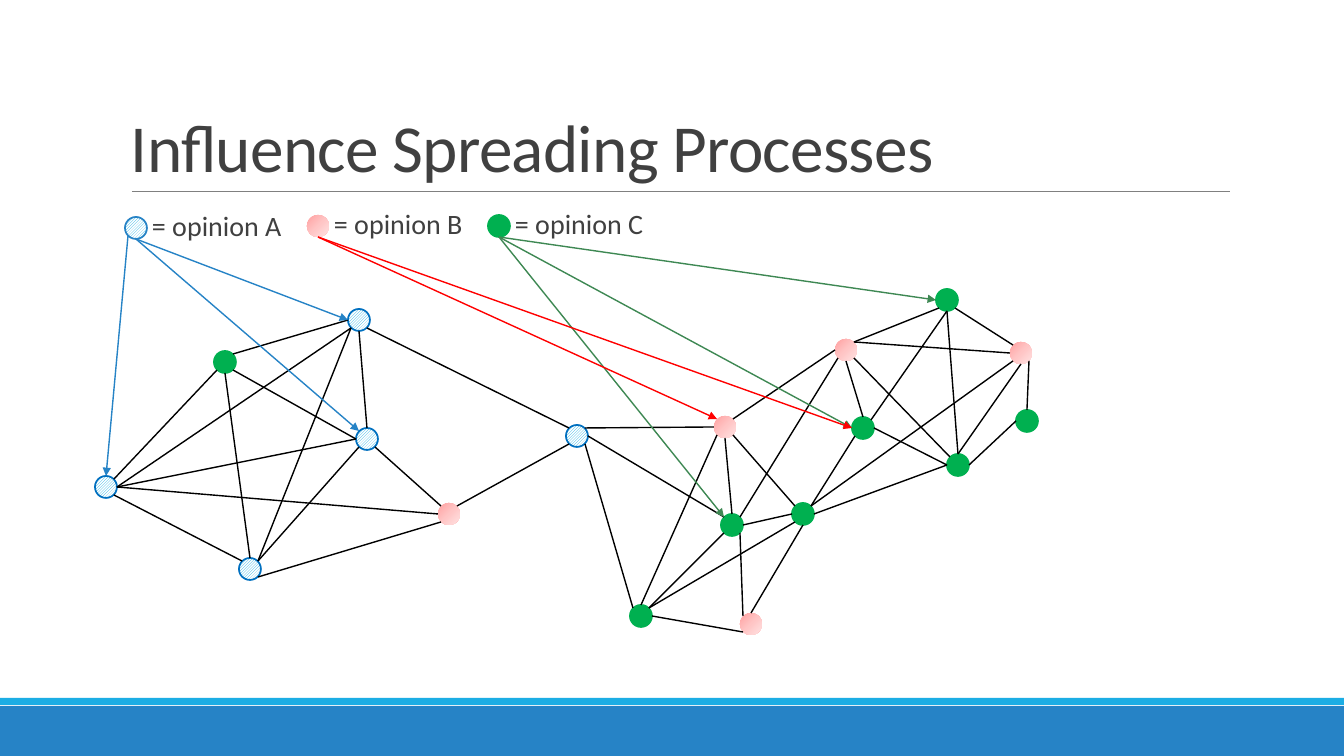
from copy import deepcopy
from dataclasses import dataclass

from pptx import Presentation
from pptx.dml.color import RGBColor
from pptx.enum.dml import MSO_PATTERN
from pptx.enum.shapes import MSO_CONNECTOR, MSO_SHAPE
from pptx.enum.text import MSO_ANCHOR
from pptx.oxml.ns import qn
from pptx.oxml.xmlchemy import OxmlElement
from pptx.util import Emu, Pt

HATCH = MSO_PATTERN.DARK_UPWARD_DIAGONAL
STRAIGHT = MSO_CONNECTOR.STRAIGHT
OVAL, RECTANGLE = MSO_SHAPE.OVAL, MSO_SHAPE.RECTANGLE
TOP, BOTTOM = MSO_ANCHOR.TOP, MSO_ANCHOR.BOTTOM

EMU_PER_PIXEL = 914400 / 100.8
RADIUS, DIAGONAL = 11, 8  # node radius and its share along x or y at 45 degrees


@dataclass(frozen=True)
class Theme:
    """Colours, font, type sizes and line widths."""
    font: str = "Calibri"
    title_size: float = 48
    label_size: float = 20
    text: str = "404040"
    footer: str = "2683C6"
    accent: str = "1CADE4"
    rule: str = "808080"
    edge: str = "000000"
    hatch_back: str = "FFFFFF"
    hatch_line: str = "0070C0"
    green: str = "00B050"
    pinks: tuple = ("FFA0A0", "FFC5C5", "FFE3E3")
    arrow_a: str = "2683C6"
    arrow_b: str = "FF0000"
    arrow_c: str = "3E8853"
    thin: float = 0.5
    normal: float = 1
    outline: float = 1.25


def pixels(value):
    """Turn pixels into EMU."""
    return Emu(round(value * EMU_PER_PIXEL))


def rgb(value):
    """Turn a hex string into a colour."""
    return RGBColor.from_string(value)


class SlideBuilder:
    """Draws styled elements on one slide."""

    def __init__(self, slide, theme):
        """Keep the slide and its style."""
        self.shapes = slide.shapes
        self.theme = theme

    def shape(self, kind, left, top, width, height):
        """Add a preset shape without shadow or outline."""
        shape = self.shapes.add_shape(kind, *map(pixels, (left, top, width, height)))
        shape.shadow.inherit = False
        shape.line.fill.background()
        return shape

    def bar(self, left, top, width, height, color):
        """Add a plain filled rectangle."""
        fill = self.shape(RECTANGLE, left, top, width, height).fill
        fill.solid()
        fill.fore_color.rgb = rgb(color)

    def node(self, opinion, center, hatch_line=None):
        """Add a network node in the style of its opinion."""
        x, y = center
        node = self.shape(OVAL, x - RADIUS, y - RADIUS, 2 * RADIUS, 2 * RADIUS)
        fill, theme = node.fill, self.theme
        if opinion == "B":
            fill.gradient()
            fill.gradient_angle = 315
            stops = node._element.spPr.find(".//" + qn("a:gsLst"))
            middle = deepcopy(stops[0])
            middle.set("pos", "50000")
            stops.insert(1, middle)
            for stop, color in zip(fill.gradient_stops, theme.pinks):
                stop.color.rgb = rgb(color)
            return
        if opinion == "A":
            fill.patterned()
            fill.pattern = HATCH
            fill.fore_color.rgb = rgb(theme.accent)
            fill.back_color.rgb = rgb(theme.hatch_back)
            outline = hatch_line or theme.hatch_line
        else:
            fill.solid()
            fill.fore_color.rgb = rgb(theme.green)
            outline = theme.green
        node.line.color.rgb = rgb(outline)
        node.line.width = Pt(theme.outline)

    def line(self, start, end, color, width, arrow=False):
        """Add a straight line, with an arrowhead at its end if asked."""
        line = self.shapes.add_connector(STRAIGHT, *map(pixels, (*start, *end)))
        line.line.color.rgb = rgb(color)
        line.line.width = Pt(width)
        properties = line._element.spPr
        if arrow:
            head = OxmlElement("a:tailEnd")
            head.set("type", "triangle")
            properties.find(qn("a:ln")).append(head)
        properties.append(OxmlElement("a:effectLst"))

    def text(self, area, words, size, spacing, anchor=TOP, side=0, before=0, after=0,
             tracking=0):
        """Add a one-paragraph text box."""
        box = self.shapes.add_textbox(*map(pixels, area))
        frame = box.text_frame
        frame.word_wrap = True
        frame.vertical_anchor = anchor
        frame.margin_left = frame.margin_right = pixels(side)
        frame.margin_top = frame.margin_bottom = pixels(5)
        para = frame.paragraphs[0]
        para.line_spacing = spacing
        para.space_before, para.space_after = Pt(before), Pt(after)
        span = para.add_run()
        span.text = words
        span.font.name = self.theme.font
        span.font.size = Pt(size)
        span.font.color.rgb = rgb(self.theme.text)
        if tracking:
            span._r.get_or_add_rPr().set("spc", str(round(tracking * 100)))


# Each name starts with the letter of the node's opinion.
NODES = {
    "A_left": (106, 487), "A_top": (359, 320), "A_mid": (367, 439),
    "A_low": (250, 569), "A_bridge": (577, 436),
    "B_left": (449, 514), "B_hub": (725, 427), "B_low": (751, 624),
    "B_top": (846, 350), "B_right": (1021, 353),
    "C_left": (225, 362), "C_low": (641, 616), "C_hub": (732, 525),
    "C_cross": (803, 514), "C_mid": (863, 428), "C_right": (958, 465),
    "C_top": (947, 300), "C_edge": (1027, 421),
}
KEYS = {"A": (136, 228), "B": (318, 226), "C": (499, 226)}

# Per start node: the compass point left from, the end node and the point reached.
EDGES = {
    "A_left": "NE C_left SW, SE A_low NW, E A_mid W, E A_top SW, E B_left W",
    "A_mid": "N A_top S, SW A_low NE",
    "A_low": "SE B_left SW, NE A_top SW",
    "A_bridge": "NW A_top SE, E C_hub NW",
    "B_left": "NW A_mid SE, NE A_bridge SW",
    "B_hub": "W A_bridge NE, SW C_low N, SE C_cross NW",
    "B_low": "SW C_low E, NW C_hub SE, N C_cross S",
    "B_top": "W B_hub NE, SE C_right NW, S C_mid N, SW C_hub NE",
    "B_right": "S C_right N, W B_top NE, SE C_edge N, SW C_cross NE",
    "C_left": "NE A_top W, SE A_mid W, S A_low N",
    "C_low": "NW A_bridge SE, NE C_hub SW",
    "C_hub": "N B_hub S",
    "C_cross": "W C_hub E, SW C_low NE",
    "C_mid": "E C_right W, NE C_top S, SW C_cross NE",
    "C_right": "W C_cross E",
    "C_top": "SW B_top NE, S C_right N, SE B_right NW",
    "C_edge": "W C_right E",
}
ARROWS = {
    "C": "S C_hub NW, S C_mid W, S C_top W",
    "B": "S C_mid W, S B_hub NW",
    "A": "S A_top W, S A_mid NW, SW A_left N",
}


def rim(name, compass):
    """Find the point of a node's rim in a compass direction."""
    x, y = (NODES | KEYS)[name]
    reach = DIAGONAL if len(compass) == 2 else RADIUS
    return (x + reach * (("E" in compass) - ("W" in compass)),
            y + reach * (("S" in compass) - ("N" in compass)))


def links(listing):
    """Yield the start name and both end points of each listed link."""
    for start, targets in listing.items():
        for target in targets.split(","):
            leaving, end, arriving = target.split()
            yield start, rim(start, leaving), rim(end, arriving)


def main():
    """Build and save the deck."""
    theme = Theme()
    deck = Presentation()
    deck.slide_width, deck.slide_height = pixels(1344), pixels(756)
    page = SlideBuilder(deck.slides.add_slide(deck.slide_layouts[6]), theme)
    page.bar(0, 706, 1344, 50, theme.footer)
    page.bar(0, 698, 1344, 7, theme.accent)
    page.line((132, 191), (1230, 191), theme.rule, theme.thin)
    page.text((121, 31, 1109, 160), "Influence Spreading Processes", theme.title_size,
              0.85, anchor=BOTTOM, side=10, tracking=-0.5)
    for name, center in NODES.items():
        page.node(name[0], center)
    for _, start, end in links(EDGES):
        page.line(start, end, theme.edge, theme.normal)
    for opinion, (x, y) in KEYS.items():
        page.node(opinion, (x, y), hatch_line=theme.arrow_a)
        page.text((x + 16, y - 21, 154, 52), f"= opinion {opinion}", theme.label_size,
                  0.9, before=12, after=2)
    colors = {"A": theme.arrow_a, "B": theme.arrow_b, "C": theme.arrow_c}
    for opinion, start, end in links(ARROWS):
        page.line(start, end, colors[opinion], theme.normal, arrow=True)
    deck.save("out.pptx")


main()
